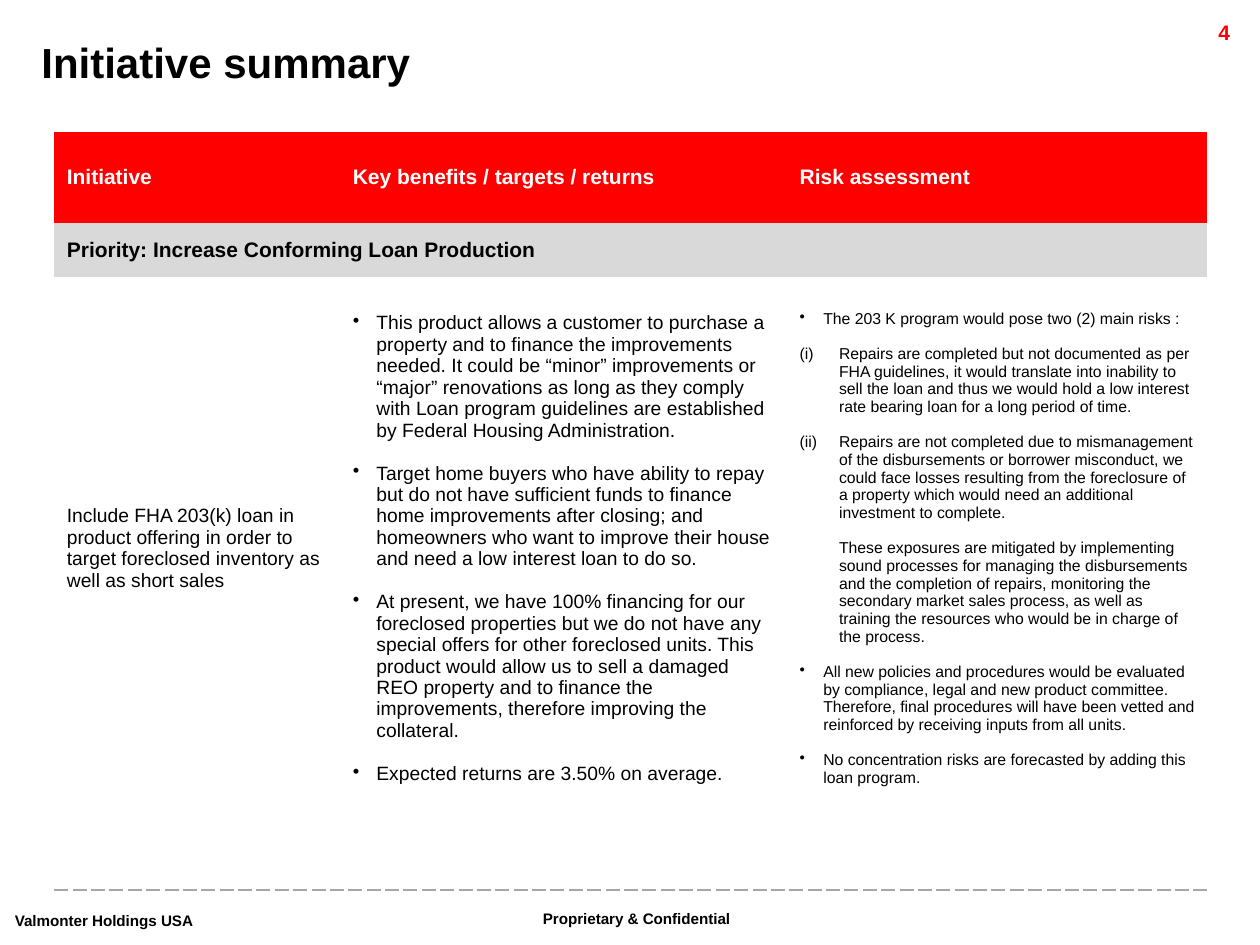
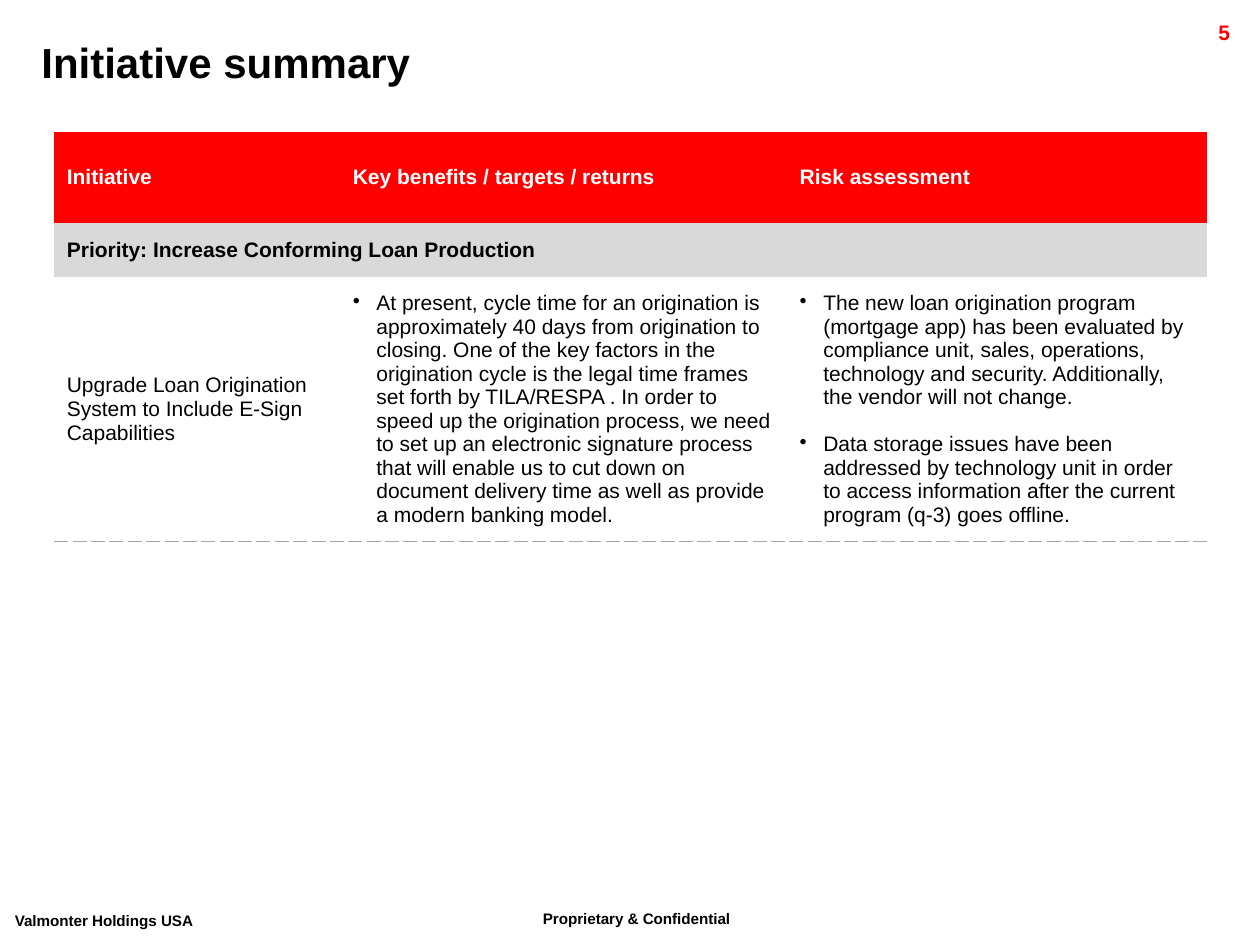
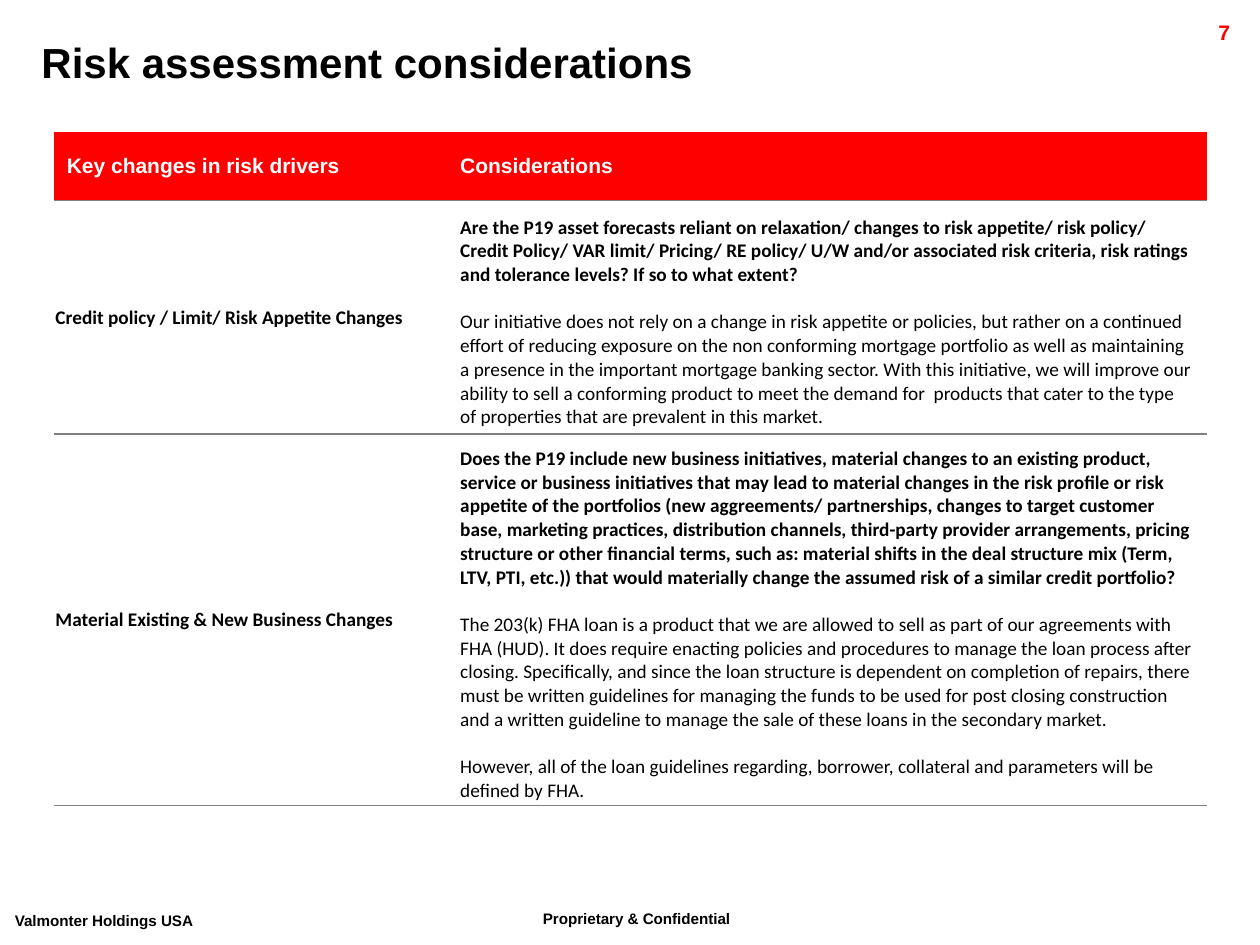
from lxml import etree
from pptx import Presentation
from pptx.dml.color import RGBColor
from pptx.enum.text import MSO_ANCHOR, PP_ALIGN
from pptx.oxml.ns import qn
from pptx.util import Pt

MIDDLE = MSO_ANCHOR.MIDDLE
LEFT, RIGHT = PP_ALIGN.LEFT, PP_ALIGN.RIGHT

RED = RGBColor(0xFF, 0x00, 0x00)
WHITE = RGBColor(0xFF, 0xFF, 0xFF)
BLACK = RGBColor(0x00, 0x00, 0x00)
BAND_GRAY = RGBColor(0xD9, 0xD9, 0xD9)
DASH_GRAY = RGBColor(0xA6, 0xA6, 0xA6)
RULE_GRAY = RGBColor(0x80, 0x80, 0x80)

PLAIN_TABLE = "{2D5ABB26-0587-4C30-8999-92F81FD0307C}"
BLANK_LINE = {"Arial": 1.12, "Calibri": 1.22}
INDENTS = {
    "bullet": (13.5, -13.5, "buChar", {"char": "•"}),
    "roman": (22.5, -22.5, "buAutoNum", {"type": "romanLcParenBoth"}),
    "inset": (22.5, 0, "buNone", {}),
}


def write(frame, items, size, font="Arial", color=BLACK, align=LEFT):
    for index, (text, style) in enumerate(items):
        paragraph = frame.paragraphs[0] if index == 0 else frame.add_paragraph()
        paragraph.text = text
        paragraph.alignment = align
        if index:
            paragraph.space_before = Pt(round(size * BLANK_LINE[font], 1))
        if style in INDENTS:
            margin, hanging, tag, attributes = INDENTS[style]
            properties = paragraph._p.get_or_add_pPr()
            properties.set("marL", str(Pt(margin)))
            properties.set("indent", str(Pt(hanging)))
            etree.SubElement(properties, qn("a:" + tag), attributes)
        for run in paragraph.runs:
            run.font.name = font
            run.font.size = Pt(size)
            run.font.bold = style == "bold"
            run.font.color.rgb = color


def underline_row(row, color, width, dash):
    for cell in row.cells:
        line = etree.Element(qn("a:lnB"), w=str(Pt(width)))
        fill = etree.SubElement(line, qn("a:solidFill"))
        etree.SubElement(fill, qn("a:srgbClr"), val=str(color))
        etree.SubElement(line, qn("a:prstDash"), val=dash)
        cell._tc.get_or_add_tcPr().insert(0, line)


INITIATIVE_HEADS = ["Initiative", "Key benefits / targets / returns", "Risk assessment"]
INITIATIVE_COLUMNS = [163.4, 255.4, 240.2]
PRIORITY = "Priority: Increase Conforming Loan Production"

REHAB_LOAN = [
    (11, [("Include FHA 203(k) loan in product offering in order to target foreclosed inventory as well as short sales", "plain")]),
    (11, [
        ("This product allows a customer to purchase a property and to finance the improvements needed. It could be “minor” improvements or “major” renovations as long as they comply with Loan program guidelines are established by Federal Housing Administration.", "bullet"),
        ("Target home buyers who have ability to repay but do not have sufficient funds to finance home improvements after closing; and homeowners who want to improve their house and need a low interest loan to do so.", "bullet"),
        ("At present, we have 100% financing for our foreclosed properties but we do not have any special offers for other foreclosed units. This product would allow us to sell a damaged REO property and to finance the improvements, therefore improving the collateral.", "bullet"),
        ("Expected returns are 3.50% on average.", "bullet"),
    ]),
    (9, [
        ("The 203 K program would pose two (2) main risks :", "bullet"),
        ("Repairs are completed but not documented as per FHA guidelines, it would translate into inability to sell the loan and thus we would hold a low interest rate bearing loan for a long period of time.", "roman"),
        ("Repairs are not completed due to mismanagement of the disbursements or borrower misconduct, we could face losses resulting from the foreclosure of a property which would need an additional investment to complete.", "roman"),
        ("These exposures are mitigated by implementing sound processes for managing the disbursements and the completion of repairs, monitoring the secondary market sales process, as well as training the resources who would be in charge of the process.", "inset"),
        ("All new policies and procedures would be evaluated by compliance, legal and new product committee. Therefore, final procedures will have been vetted and reinforced by receiving inputs from all units.", "bullet"),
        ("No concentration risks are forecasted by adding this loan program.", "bullet"),
    ]),
]
E_SIGN = [
    (12, [("Upgrade Loan Origination System to Include E-Sign Capabilities", "plain")]),
    (12, [("At present, cycle time for an origination is approximately 40 days from origination to closing. One of the key factors in the origination cycle is the legal time frames set forth by TILA/RESPA . In order to speed up the origination process, we need to set up an electronic signature process that will enable us to cut down on document delivery time as well as provide a modern banking model.", "bullet")]),
    (12, [
        ("The new loan origination program (mortgage app) has been evaluated by compliance unit, sales, operations, technology and security. Additionally, the vendor will not change.", "bullet"),
        ("Data storage issues have been addressed by technology unit in order to access information after the current program (q-3) goes offline.", "bullet"),
    ]),
]
RISK_DRIVERS = [
    ("Credit policy / Limit/ Risk Appetite Changes", [
        ("Are the P19 asset forecasts reliant on relaxation/ changes to risk appetite/ risk policy/ Credit Policy/ VAR limit/ Pricing/ RE policy/ U/W and/or associated risk criteria, risk ratings and tolerance levels? If so to what extent?", "bold"),
        ("Our initiative does not rely on a change in risk appetite or policies, but rather on a continued effort of reducing exposure on the non conforming mortgage portfolio as well as maintaining a presence in the important mortgage banking sector. With this initiative, we will improve our ability to sell a conforming product to meet the demand for  products that cater to the type of properties that are prevalent in this market.", "plain"),
    ]),
    ("Material Existing & New Business Changes", [
        ("Does the P19 include new business initiatives, material changes to an existing product, service or business initiatives that may lead to material changes in the risk profile or risk appetite of the portfolios (new aggreements/ partnerships, changes to target customer base, marketing practices, distribution channels, third-party provider arrangements, pricing structure or other financial terms, such as: material shifts in the deal structure mix (Term, LTV, PTI, etc.)) that would materially change the assumed risk of a similar credit portfolio?", "bold"),
        ("The 203(k) FHA loan is a product that we are allowed to sell as part of our agreements with FHA (HUD). It does require enacting policies and procedures to manage the loan process after closing. Specifically, and since the loan structure is dependent on completion of repairs, there must be written guidelines for managing the funds to be used for post closing construction and a written guideline to manage the sale of these loans in the secondary market.", "plain"),
        ("However, all of the loan guidelines regarding, borrower, collateral and parameters will be defined by FHA.", "plain"),
    ]),
]

PAGES = [
    ("4", "Initiative summary", INITIATIVE_HEADS, INITIATIVE_COLUMNS, [52, 31, 310.4, 40], REHAB_LOAN),
    ("5", "Initiative summary", INITIATIVE_HEADS, INITIATIVE_COLUMNS, [52, 31, 151], E_SIGN),
    ("7", "Risk assessment considerations", ["Key changes in risk drivers", "Considerations"],
     [224.8, 434.2], [39.5, 133.2, 212.4], None),
]

prs = Presentation()
prs.slide_width, prs.slide_height = Pt(720), Pt(540)

for number, title, heads, widths, heights, initiative in PAGES:
    slide = prs.slides.add_slide(prs.slide_layouts[6])

    for text, left, top, width, height, size, color, align, wrap, raised in [
        ("Proprietary & Confidential", 303.1, 514.1, 157, 25, 15, BLACK, LEFT, True, True),
        ("Valmonter Holdings USA", 1.4, 515.5, 137.5, 25, 15, BLACK, LEFT, False, True),
        (number, 641.5, 7.9, 68.4, 17.3, 12, RED, RIGHT, True, False),
        (title, 16.6, 17.3, 703.4, 36, 24, BLACK, LEFT, True, False),
    ]:
        frame = slide.shapes.add_textbox(Pt(left), Pt(top), Pt(width), Pt(height)).text_frame
        frame.word_wrap = wrap
        write(frame, [(text, "bold")], size, color=color, align=align)
        if raised:
            frame.paragraphs[0].runs[0].font._element.set("baseline", "30000")

    table = slide.shapes.add_table(
        len(heights), len(widths), Pt(31), Pt(75.2), Pt(sum(widths)), Pt(sum(heights))
    ).table
    table.first_row = table.horz_banding = False
    table._tbl.tblPr.find(qn("a:tableStyleId")).text = PLAIN_TABLE
    for column, width in zip(table.columns, widths):
        column.width = Pt(width)
    for row, height in zip(table.rows, heights):
        row.height = Pt(height)
        for cell in row.cells:
            cell.vertical_anchor = MIDDLE
            cell.fill.background()

    for cell, head in zip(table.rows[0].cells, heads):
        cell.fill.solid()
        cell.fill.fore_color.rgb = RED
        write(cell.text_frame, [(head, "bold")], 12, color=WHITE)

    if initiative:
        priority = table.cell(1, 0)
        priority.merge(table.cell(1, len(widths) - 1))
        for cell in table.rows[1].cells:
            cell.fill.solid()
            cell.fill.fore_color.rgb = BAND_GRAY
        write(priority.text_frame, [(PRIORITY, "bold")], 12)
        for cell, (size, items) in zip(table.rows[2].cells, initiative):
            write(cell.text_frame, items, size)
        underline_row(table.rows[len(heights) - 1], DASH_GRAY, 0.75, "sysDash")
    else:
        for index, (driver, considerations) in enumerate(RISK_DRIVERS, 1):
            driver_cell, considerations_cell = table.rows[index].cells
            driver_cell.margin_left = driver_cell.margin_right = driver_cell.margin_top = Pt(0.7)
            driver_cell.margin_bottom = Pt(0)
            considerations_cell.margin_top = Pt(7.2)
            considerations_cell.margin_bottom = Pt(1.4)
            write(driver_cell.text_frame, [(driver, "bold")], 11, "Calibri")
            write(considerations_cell.text_frame, considerations, 11, "Calibri")
        for row in table.rows:
            underline_row(row, RULE_GRAY, 1, "solid")

prs.save("out.pptx")
